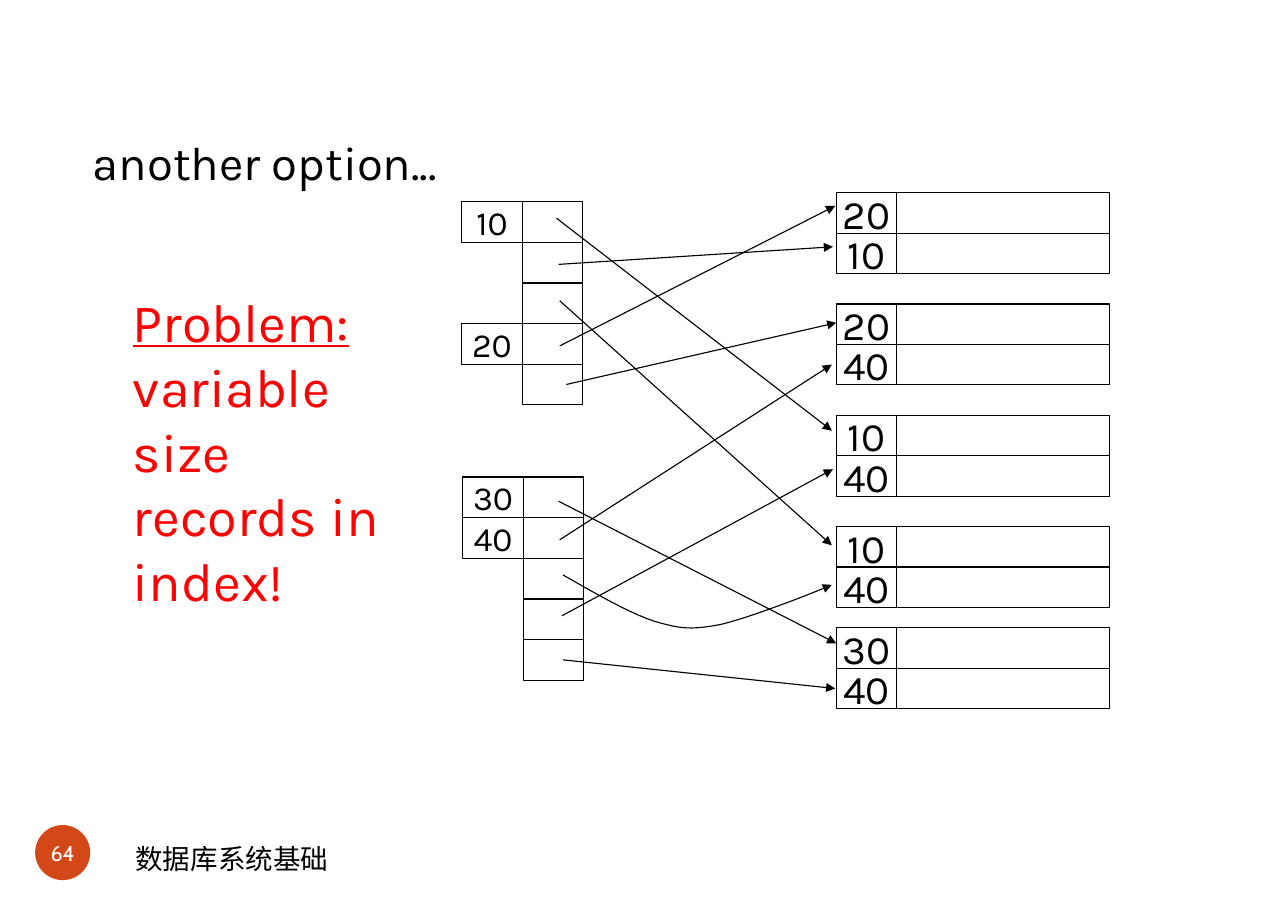
from lxml import etree
from pptx import Presentation
from pptx.dml.color import RGBColor
from pptx.enum.shapes import MSO_CONNECTOR, MSO_SHAPE
from pptx.enum.text import MSO_ANCHOR, PP_ALIGN
from pptx.oxml.ns import qn
from pptx.util import Pt

RECT, OVAL = MSO_SHAPE.RECTANGLE, MSO_SHAPE.OVAL
STRAIGHT = MSO_CONNECTOR.STRAIGHT
MIDDLE, TOP = MSO_ANCHOR.MIDDLE, MSO_ANCHOR.TOP
CENTER, LEFT = PP_ALIGN.CENTER, PP_ALIGN.LEFT

COLORS = {"ink": "000000", "paper": "FFFFFF", "warning": "FF0000", "badge": "D34817"}
KEY_WIDTH, ROW_HEIGHT, RECORD_WIDTH = 39.6, 26.5, 139

# Index buckets: offset in the diagram, then the key of each row (None: pointer only)
INDEX_BUCKETS = [
    (1.7, 11.8, ["10", None, None, "20", None]),
    (2.4, 191.8, ["30", "40", None, None, None]),
]
# Record blocks: top in the diagram, then the two keys
RECORDS_LEFT = 246.5
RECORD_BLOCKS = [
    (6, ["20", "10"]),
    (78.7, ["20", "40"]),
    (151.5, ["10", "40"]),
    (224.2, ["10", "40"]),
    (290.4, ["30", "40"]),
]
# Pointers in the diagram: start x, y and end x, y
POINTERS = [
    (63.6, 22.6, 243.6, 161.5),
    (65, 52.8, 244.3, 41.3),
    (65.8, 76.6, 243.6, 236.4),
    (65.8, 106.1, 245.8, 14.6),
    (70.1, 131.3, 246.5, 91),
    (65, 207.6, 246.5, 300.5),
    (65.8, 232.8, 243.6, 118.3),
    (67.9, 311.3, 245.8, 330),
    (67.2, 282.5, 244.3, 186.7),
]
# Curved pointer: start, then Bezier triples
CURVE = [
    (67.9, 255.8),
    (89.5, 268.1), (110.4, 280.3), (127.7, 286.1),
    (145, 291.1), (151.4, 291.8), (170.9, 288.2),
    (189.6, 283.9), (232.1, 267.4), (243.6, 262.3),
]


def color(name):
    return RGBColor.from_string(COLORS[name])


def write(shape, lines, size, font="Karla", ink="ink", align=CENTER,
          anchor=MIDDLE, wrap=False):
    """Put one paragraph per line into the shape and return the paragraphs."""
    frame = shape.text_frame
    frame.word_wrap, frame.vertical_anchor = wrap, anchor
    frame.text = "\n".join(lines)
    for para in frame.paragraphs:
        para.alignment = align
        for span in para.runs:
            for name, value in {"size": Pt(size), "name": font}.items():
                setattr(span.font, name, value)
            span.font.color.rgb = color(ink)
    return frame.paragraphs


def add_text(page, box, lines, size, **formats):
    shape = page.shapes.add_textbox(*map(Pt, box))
    return write(shape, lines, size, **formats)


def add_filled(page, kind, box, fill):
    shape = page.shapes.add_shape(kind, *map(Pt, box))
    shape.shadow.inherit = False
    shape.fill.solid()
    shape.fill.fore_color.rgb = color(fill)
    shape.line.fill.background()
    return shape


def add_cell(page, box, label=None, size=None):
    cell = add_filled(page, RECT, box, "paper")
    cell.line.color.rgb = color("ink")
    cell.line.width = Pt(0.75)
    if label:
        write(cell, [label], size)


def style_pointer(shape):
    shape.line.color.rgb = color("ink")
    shape.line.width = Pt(0.75)
    outline = shape.line._get_or_add_ln()
    etree.SubElement(outline, qn("a:tailEnd"), type="triangle")


def draw_index(page, left, top, keys):
    for row, key in enumerate(keys):
        y = top + row * 26.6
        add_cell(page, (left + KEY_WIDTH, y, KEY_WIDTH, ROW_HEIGHT))
        if key:
            add_cell(page, (left, y, KEY_WIDTH, ROW_HEIGHT), key, 22.1)


def draw_records(page, left, top, keys):
    for row, key in enumerate(keys):
        y = top + row * 26.4
        add_cell(page, (left, y, KEY_WIDTH, ROW_HEIGHT), key, 26.4)
        add_cell(page, (left + KEY_WIDTH, y, RECORD_WIDTH, ROW_HEIGHT))


def draw_pointers(page, left, top):
    for x1, y1, x2, y2 in POINTERS:
        arrow = page.shapes.add_connector(
            STRAIGHT, Pt(left + x1), Pt(top + y1), Pt(left + x2), Pt(top + y2))
        style_pointer(arrow)
        etree.SubElement(arrow._element.spPr, qn("a:effectLst"))


def bezier(a, b, c, d, t):
    s = 1 - t
    return tuple(s**3 * p + 3 * s * s * t * q + 3 * s * t * t * r + t**3 * u
                 for p, q, r, u in zip(a, b, c, d))


def draw_curve(page, left, top):
    steps = 10
    points = [CURVE[0]] + [
        bezier(*CURVE[start:start + 4], step / steps)
        for start in range(0, len(CURVE) - 1, 3) for step in range(1, steps + 1)]
    places = [(Pt(left + x), Pt(top + y)) for x, y in points]
    builder = page.shapes.build_freeform(*places[0])
    builder.add_line_segments(places[1:], close=False)
    curve = builder.convert_to_shape()
    curve.shadow.inherit = False
    curve.fill.background()
    style_pointer(curve)


def draw_diagram(page, left, top):
    for x, y, keys in INDEX_BUCKETS:
        draw_index(page, left + x, top + y, keys)
    for y, keys in RECORD_BLOCKS:
        draw_records(page, left + RECORDS_LEFT, top + y, keys)
    draw_pointers(page, left, top)
    draw_curve(page, left, top)


def draw_notes(page, left, top):
    add_text(page, (left, top, 242.6, 44.6), ["another option..."], 30.9)
    problem = add_text(
        page, (left + 28, top + 121.7, 204.5, 178.6),
        ["Problem:", "variable size", "records in", "index!"], 35.3,
        ink="warning", align=LEFT, wrap=True)
    problem[0].runs[0].font.underline = True


def draw_footer(page, left, top):
    badge = add_filled(page, OVAL, (left, top, 36, 36), "badge")
    for side in ("left", "top", "right", "bottom"):
        setattr(badge.text_frame, f"margin_{side}", 0)
    write(badge, ["64"], 14, font="Cabin", ink="paper")
    add_text(page, (left + 58.4, top + 7.2, 183.6, 28.8), ["数据库系统基础"], 18,
             font="Calibri", align=LEFT, anchor=TOP, wrap=True)


def main():
    deck = Presentation()
    deck.slide_width, deck.slide_height = Pt(841.68), Pt(595.44)
    page = deck.slides.add_slide(deck.slide_layouts[6])
    draw_footer(page, 23, 539.3)
    draw_notes(page, 51.8, 83.5)
    draw_diagram(page, 300, 120)
    deck.save("out.pptx")


if __name__ == "__main__":
    main()
